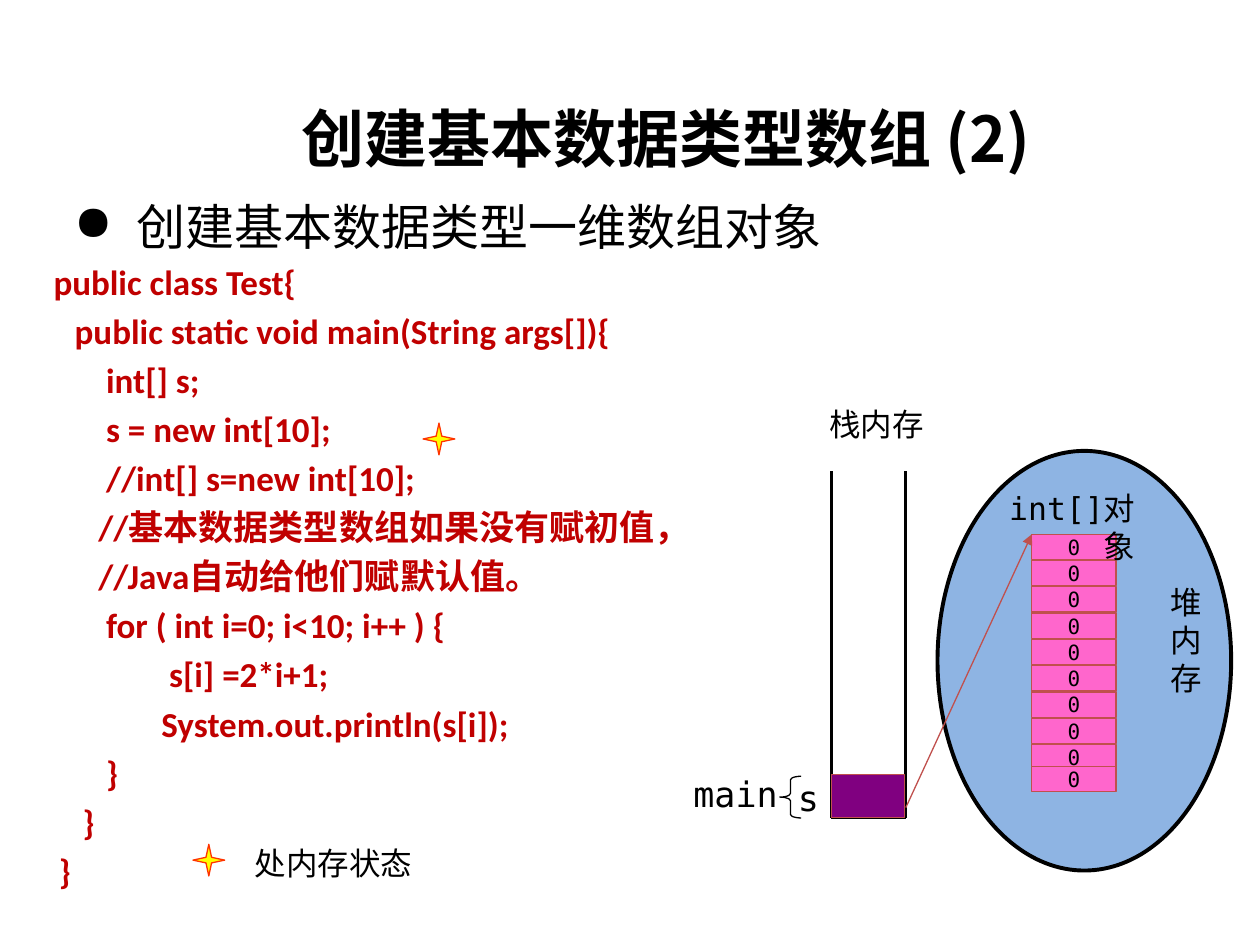
from pptx import Presentation
from pptx.dml.color import RGBColor
from pptx.enum.shapes import MSO_CONNECTOR, MSO_SHAPE
from pptx.enum.text import MSO_ANCHOR, PP_ALIGN
from pptx.oxml.ns import qn
from pptx.util import Cm, Pt
from lxml.etree import SubElement

BLACK = RGBColor(0x00, 0x00, 0x00)
CODE_RED = RGBColor(0xC0, 0x00, 0x00)
BORDER_RED = RGBColor(0xC0, 0x50, 0x4D)
STAR_RED = RGBColor(0xFF, 0x33, 0x00)
YELLOW = RGBColor(0xFF, 0xFF, 0x00)
PURPLE = RGBColor(0x80, 0x00, 0x80)
PINK = RGBColor(0xFF, 0x66, 0xCC)
BLUE = RGBColor(0x8E, 0xB4, 0xE3)

SANS = "Noto Sans CJK SC"
MONO = "DejaVu Sans Mono"
CODE_FONT = "Calibri"
INDENT_FONT = "Times New Roman"

TITLE = "创建基本数据类型数组 (2)"
HEADING = "创建基本数据类型一维数组对象"
FIRST_CODE_LINE = [("   ", INDENT_FONT), ("public class Test{", CODE_FONT)]
CODE_LINES = [
    "      public static void main(String args[]){",
    "      \t  int[] s;",
    "      \t  s = new int[10];",
    "\t  //int[] s=new int[10];",
    "         //基本数据类型数组如果没有赋初值，",
    "         //Java自动给他们赋默认值。",
    "      \t  for ( int i=0; i<10; i++ ) {",
    "            \t  s[i] =2*i+1;",
    "\t         System.out.println(s[i]);",
    "      \t  }",
    "       }",
    "    }",
]
LABELS = [
    ("main", (13.39, 15.44, 2.54, 1.09), 20, 0.13),
    ("栈内存", (15.49, 8.03, 3.38, 1.02), 18, 0.13),
    ("s", (15.49, 15.65, 1.27, 0.84), 20, 0),
    ("int[]对象", (19.53, 9.73, 3.61, 1.02), 18, 0.13),
    ("堆内存", (23.34, 11.63, 1.07, 2.57), 18, 0.13),
    ("处内存状态", (3.05, 17.02, 5.51, 0.76), 18, 0),
]
STACK_LEFT, STACK_RIGHT, STACK_TOP, STACK_BOTTOM = 16.76, 18.26, 9.5, 16.48
STACK_LINES = [
    (STACK_LEFT, STACK_TOP, STACK_LEFT, STACK_BOTTOM),
    (STACK_RIGHT, STACK_TOP, STACK_RIGHT, STACK_BOTTOM),
    (STACK_LEFT, STACK_BOTTOM, STACK_RIGHT, STACK_BOTTOM),
]
CELL_VALUES = ["0"] * 10
CELL_LEFT, CELL_TOP, CELL_PITCH, LAST_CELL_TOP = 20.8, 10.77, 0.53, 15.45
CELL_SIZE = (1.7, 0.51)
STAR_POSITIONS = [(3.89, 17.02), (8.53, 8.53)]
STAR_SIZE = (0.64, 0.64)


def apply(target, values):
    for name, value in values.items():
        setattr(target, name, value)


def write(shape, paragraphs, size, color=BLACK, bold=False, align=PP_ALIGN.LEFT,
          anchor=MSO_ANCHOR.TOP, inset=0.13, space=0):
    frame = shape.text_frame
    apply(frame, {"word_wrap": True, "vertical_anchor": anchor,
                  "margin_left": Cm(0.25), "margin_right": Cm(0.25),
                  "margin_top": Cm(inset), "margin_bottom": Cm(inset)})
    for index, runs in enumerate(paragraphs):
        paragraph = frame.add_paragraph() if index else frame.paragraphs[0]
        paragraph.alignment = align
        if index:
            paragraph.space_before = Pt(space)
        for text, font_name in runs:
            run = paragraph.add_run()
            run.text = text
            apply(run.font, {"name": font_name, "size": Pt(size), "bold": bold})
            run.font.color.rgb = color
            east_asian = SubElement(run.font._element, qn("a:ea"))
            east_asian.set("typeface", SANS)


def add_text(slide, box, paragraphs, size, **options):
    shape = slide.shapes.add_textbox(*map(Cm, box))
    write(shape, paragraphs, size, **options)
    return shape


def add_shape(slide, kind, box, fill, line, width=0.75, adjustments=()):
    shape = slide.shapes.add_shape(kind, *map(Cm, box))
    shape.shadow.inherit = False
    if fill is None:
        shape.fill.background()
    else:
        shape.fill.solid()
        shape.fill.fore_color.rgb = fill
    shape.line.color.rgb = line
    shape.line.width = Pt(width)
    for index, value in enumerate(adjustments):
        shape.adjustments[index] = value
    return shape


def add_line(slide, ends, color, width, arrow=False):
    connector = slide.shapes.add_connector(MSO_CONNECTOR.STRAIGHT, *map(Cm, ends))
    connector.line.color.rgb = color
    connector.line.width = Pt(width)
    if arrow:
        SubElement(connector.line._get_or_add_ln(), qn("a:tailEnd")).set("type", "triangle")
    SubElement(connector._element.spPr, qn("a:effectLst"))


def add_heading(slide):
    shape = add_text(slide, (1.24, 3.84, 19.25, 1.45), [[(HEADING, SANS)]], 28)
    properties = shape.text_frame.paragraphs[0]._p.get_or_add_pPr()
    properties.set("marL", str(Cm(1.27)))
    properties.set("indent", str(-Cm(1.27)))
    SubElement(properties, qn("a:buChar")).set("char", "●")


def add_memory(slide):
    for ends in STACK_LINES:
        add_line(slide, ends, BLACK, 1.5)
    add_shape(slide, MSO_SHAPE.LEFT_BRACE, (15.72, 15.65, 0.43, 0.84), None, BLACK,
              adjustments=(0.167, 0.5))
    add_shape(slide, MSO_SHAPE.RECTANGLE, (STACK_LEFT, 15.62, 1.47, 0.86), PURPLE, BORDER_RED)
    add_shape(slide, MSO_SHAPE.OVAL, (18.9, 9.09, 5.92, 8.46), BLUE, BLACK, 2.25)
    tops = [CELL_TOP + CELL_PITCH * index for index in range(len(CELL_VALUES) - 1)]
    for value, top in zip(CELL_VALUES, tops + [LAST_CELL_TOP]):
        cell = add_shape(slide, MSO_SHAPE.RECTANGLE, (CELL_LEFT, top, *CELL_SIZE),
                         PINK, BORDER_RED)
        write(cell, [[(value, MONO)]], 12, align=PP_ALIGN.CENTER, inset=0)
    add_line(slide, (STACK_RIGHT, 16.28, CELL_LEFT, CELL_TOP), BORDER_RED, 0.75, arrow=True)


def main():
    presentation = Presentation()
    apply(presentation, {"slide_width": Cm(25.4), "slide_height": Cm(19.05)})
    slide = presentation.slides.add_slide(presentation.slide_layouts[6])
    add_heading(slide)
    add_memory(slide)
    for text, box, size, inset in LABELS:
        add_text(slide, box, [[(text, MONO)]], size, align=PP_ALIGN.RIGHT, inset=inset)
    code = [FIRST_CODE_LINE] + [[(line, CODE_FONT)] for line in CODE_LINES]
    add_text(slide, (0.3, 5.13, 13.64, 13.41), code, 20, color=CODE_RED, bold=True, space=4)
    for position in STAR_POSITIONS:
        add_shape(slide, MSO_SHAPE.STAR_4_POINT, (*position, *STAR_SIZE), YELLOW, STAR_RED,
                  adjustments=(0.125,))
    add_text(slide, (4.37, 1.8, 18.11, 1.93), [[(TITLE, SANS)]], 36, bold=True,
             align=PP_ALIGN.CENTER, anchor=MSO_ANCHOR.MIDDLE)
    presentation.save("out.pptx")


if __name__ == "__main__":
    main()
